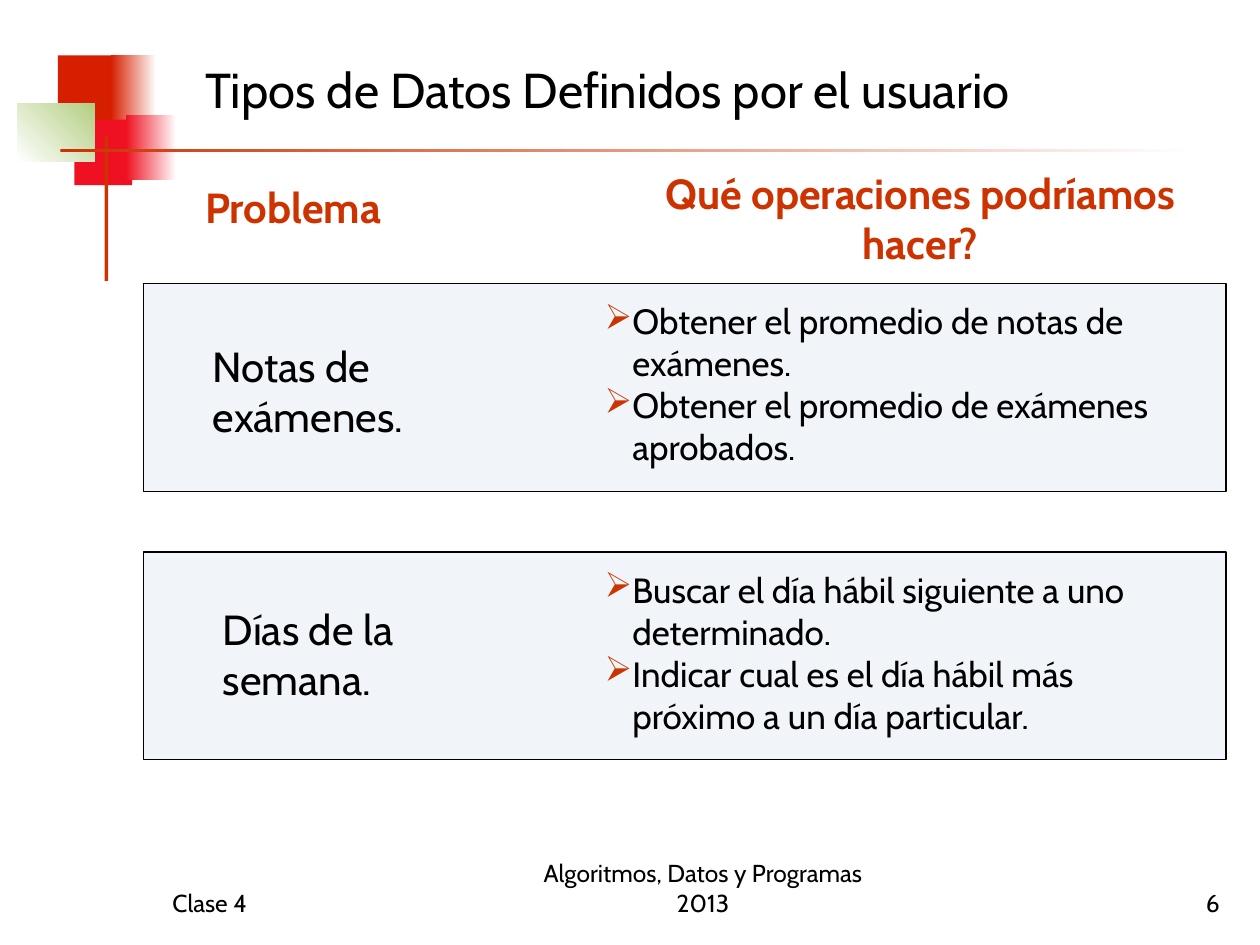
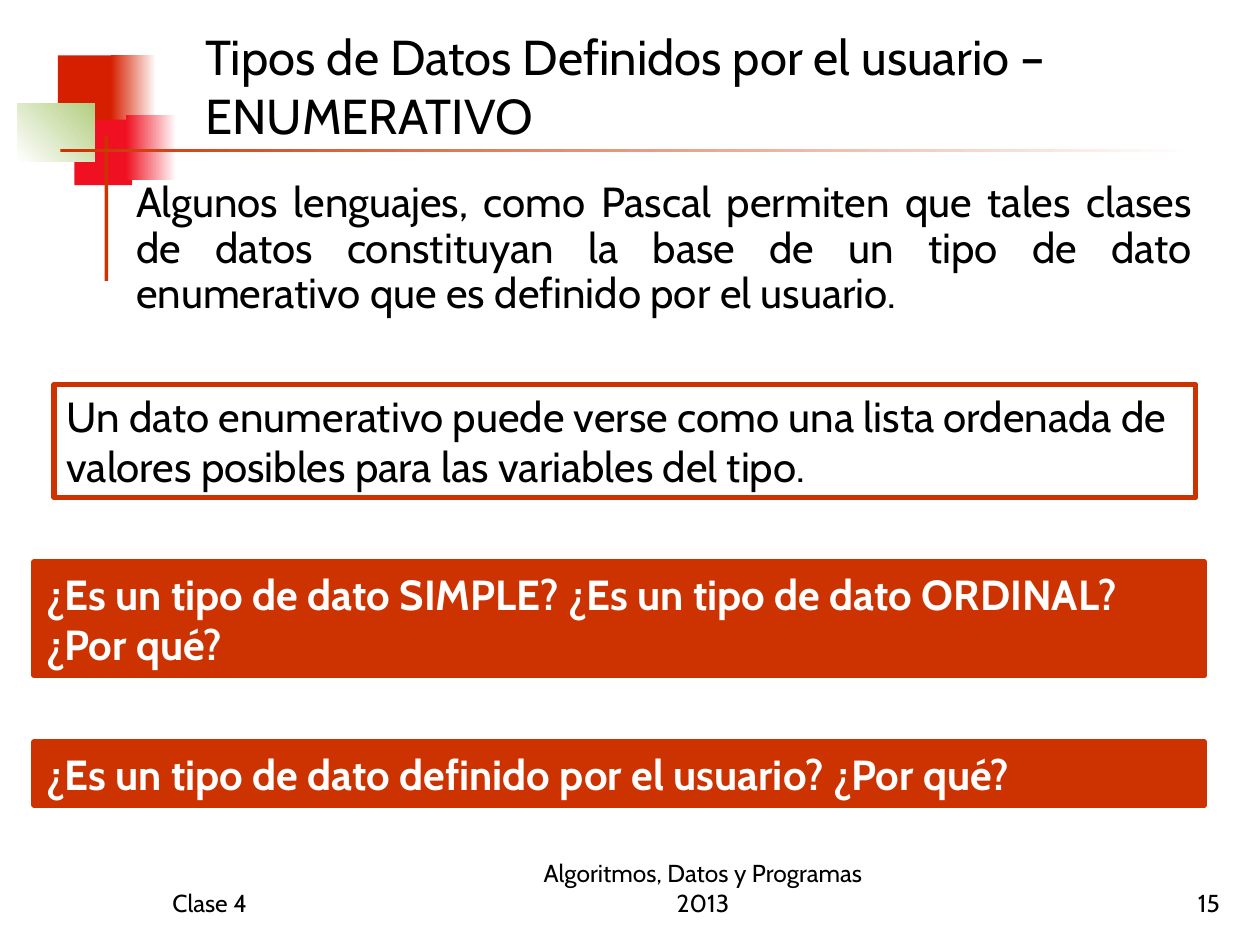
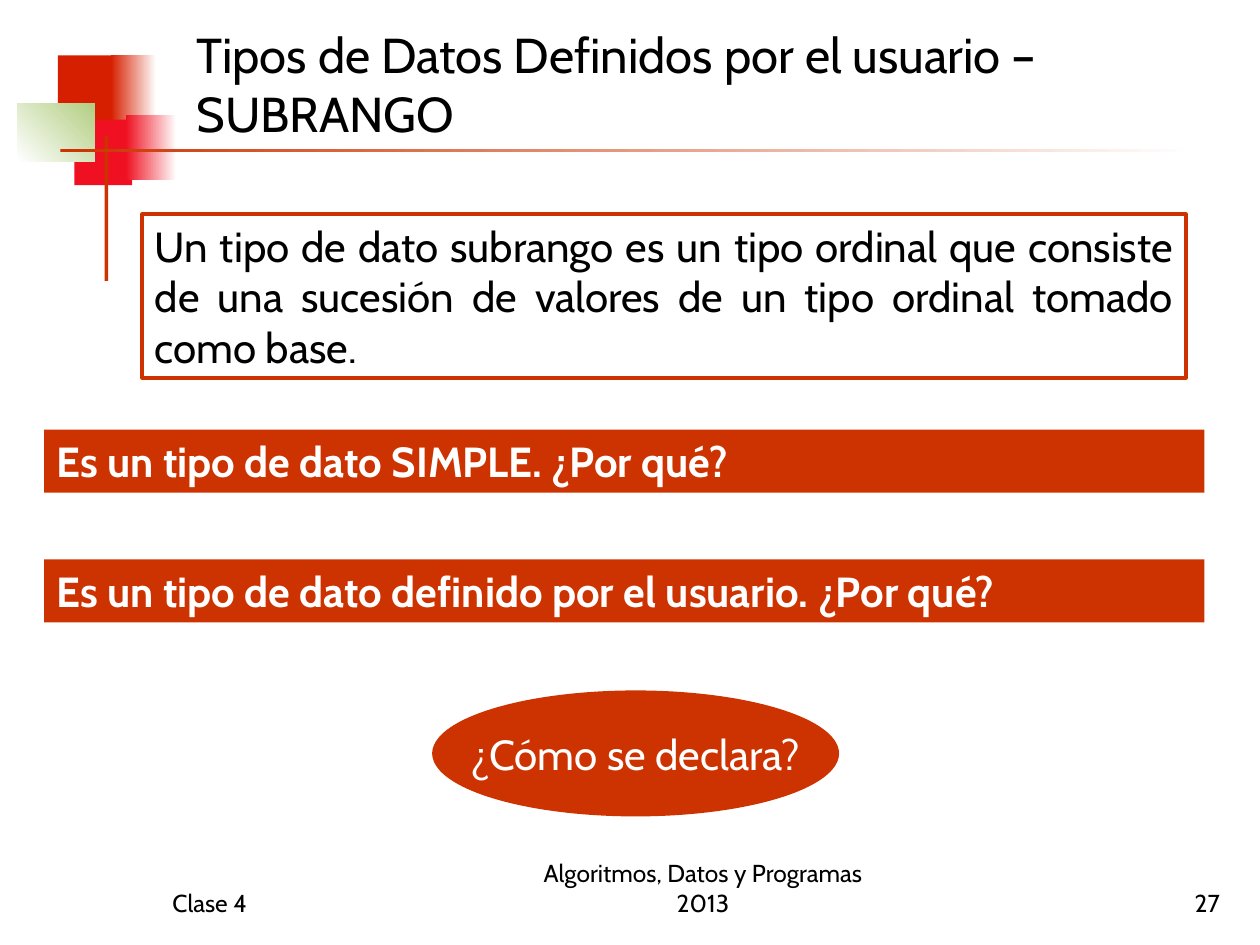
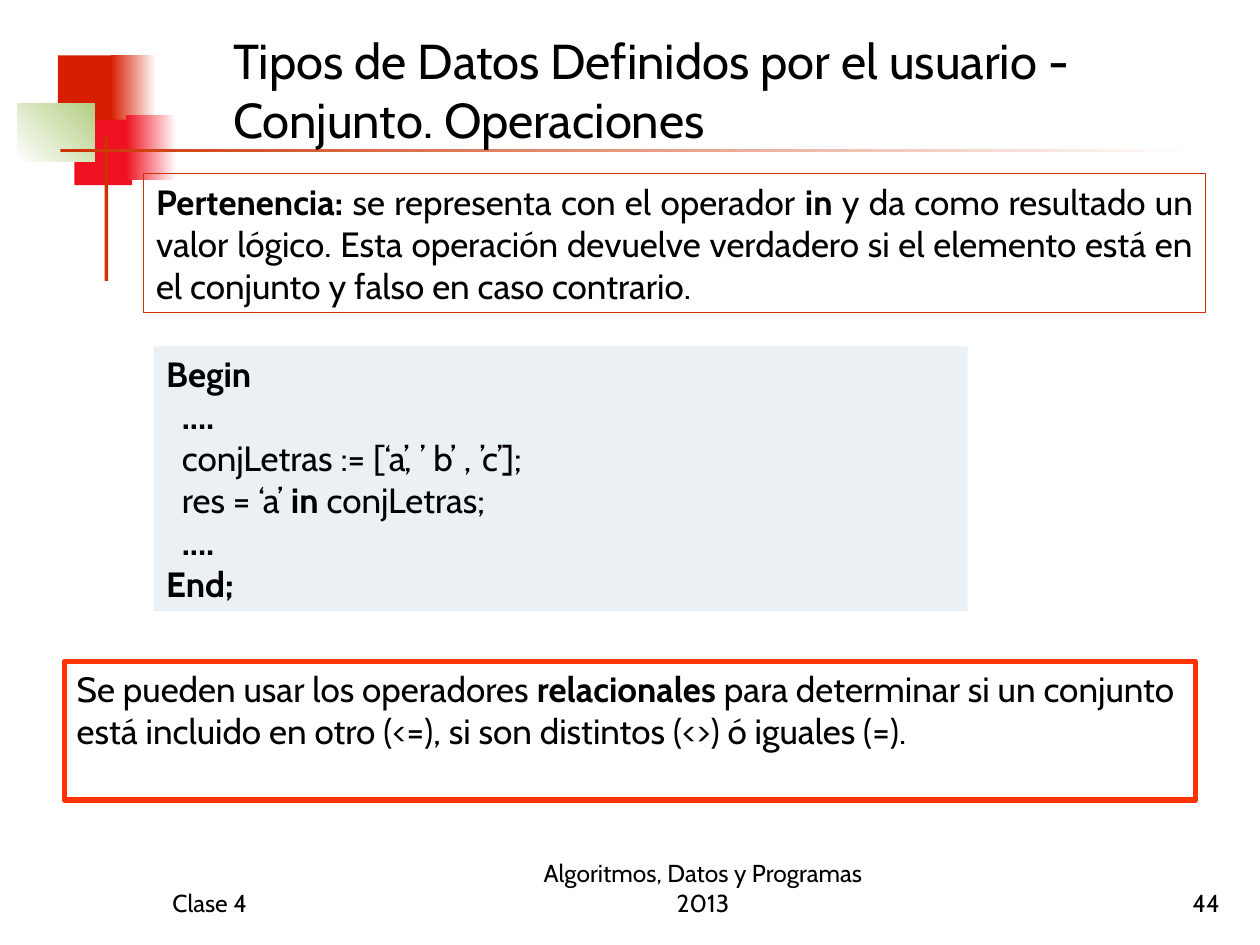
from lxml import etree
from pptx import Presentation
from pptx.dml.color import RGBColor
from pptx.enum.shapes import MSO_SHAPE
from pptx.enum.text import MSO_ANCHOR, MSO_AUTO_SIZE, PP_ALIGN
from pptx.oxml.ns import qn
from pptx.util import Inches, Pt

RECT, OVAL = MSO_SHAPE.RECTANGLE, MSO_SHAPE.OVAL
LEFT, MID, RIGHT, JUST = PP_ALIGN.LEFT, PP_ALIGN.CENTER, PP_ALIGN.RIGHT, PP_ALIGN.JUSTIFY
TOP, CENTER, BOTTOM = MSO_ANCHOR.TOP, MSO_ANCHOR.MIDDLE, MSO_ANCHOR.BOTTOM
NO_FIT = MSO_AUTO_SIZE.NONE

FONT = "Cabin"
BLACK, WHITE = "000000", "FFFFFF"
RUST, FLAME, RED, PINK, GREEN = "CC3300", "FF3300", "D61F00", "EF1121", "B3CE82"
PALE, GREY = "F1F5F9", "EBF0F5"
TITLE_ONLY, TITLE_BODY = 5, 1


def rgb(code):
    return RGBColor.from_string(code)


class Deck:
    def __init__(self):
        self.prs = Presentation()
        self.prs.slide_width, self.prs.slide_height = Inches(10), Inches(7.5)
        self.slide = None

    def start(self, number, title, at, anchor=CENTER, layout=TITLE_ONLY):
        """Add a slide with its title and footer."""
        first = self.slide is None
        self.slide = self.prs.slides.add_slide(self.prs.slide_layouts[layout])
        if first:
            self.brand()
        self.place(self.slide.shapes.title, at)
        self.label(self.slide.shapes.title, [title], 28, anchor=anchor)
        for text, x, wide, align in (("Clase 4", 1.27, 2.08, LEFT),
                                     ("Algoritmos, Datos y Programas 2013", 4, 3.16, MID),
                                     (str(number), 7.7, 2.08, RIGHT)):
            self.text([text], (x, 6.83, wide, 0.5), 14, align=align, anchor=BOTTOM)

    def brand(self):
        """Draw the corner blocks and rules, and move them to the master."""
        tree = self.prs.slide_master.shapes._spTree
        parts = (((0.46, 0.44, 0.48, 0.52), RED),
                 ((0.88, 0.44, 0.36, 0.52), (RED, WHITE, 0)),
                 ((0.59, 0.95, 0.46, 0.52), PINK),
                 ((1, 0.91, 0.4, 0.52), (PINK, WHITE, 0)),
                 ((0.14, 0.82, 0.61, 0.46), (WHITE, GREEN, 45)),
                 ((0.83, 1.08, 0.03, 1.15), RUST),
                 ((0.48, 1.18, 9, 0.03), (RUST, WHITE, 0)))
        for i, (at, fill) in enumerate(parts):
            node = self.shape(at, fill)._element
            node.nvSpPr.cNvPr.id = 100 + i
            tree.insert(2 + i, node)

    def place(self, shape, at):
        shape.left, shape.top, shape.width, shape.height = map(Inches, at)

    def shape(self, at, fill=None, line=None, width=0.75, kind=RECT):
        """Draw a preset shape; a fill of three parts is a gradient."""
        shape = self.slide.shapes.add_shape(kind, *map(Inches, at))
        shape.shadow.inherit = False
        if fill is None:
            shape.fill.background()
        elif isinstance(fill, tuple):
            shape.fill.gradient()
            shape.fill.gradient_angle = fill[2]
            for stop, code in zip(shape.fill.gradient_stops, fill):
                stop.color.rgb = rgb(code)
        else:
            shape.fill.solid()
            shape.fill.fore_color.rgb = rgb(fill)
        if line:
            shape.line.color.rgb = rgb(line)
            shape.line.width = Pt(width)
        else:
            shape.line.fill.background()
        return shape

    def label(self, shape, paras, size, color=BLACK, align=LEFT, anchor=TOP,
              wrap=True, indent=0, hang=0, mark=None, space=None):
        """Fill a shape; ** turns bold on and off, a newline breaks the line."""
        frame = shape.text_frame
        frame.auto_size, frame.word_wrap, frame.vertical_anchor = NO_FIT, wrap, anchor
        frame.margin_left = frame.margin_right = Inches(0.1)
        frame.margin_top = frame.margin_bottom = Inches(0.05)
        for i, text in enumerate(paras):
            para = frame.add_paragraph() if i else frame.paragraphs[0]
            self.bullet(para, indent, hang, mark)
            para.alignment, para.space_before = align, Pt(0)
            if space:
                para.line_spacing = space
            for j, part in enumerate(text.split("**")):
                for k, piece in enumerate(part.split("\n")):
                    if k:
                        para.add_line_break()
                    if piece:
                        run = para.add_run()
                        run.text = piece
                        font = run.font
                        font.name, font.size, font.bold = FONT, Pt(size), j % 2 == 1
                        font.color.rgb = rgb(color)

    def bullet(self, para, indent, hang, mark):
        props = para._p.get_or_add_pPr()
        props.set("marL", str(Inches(indent)))
        props.set("indent", str(-Inches(hang)))
        if mark:
            tint = etree.SubElement(props, qn("a:buClr"))
            etree.SubElement(tint, qn("a:srgbClr"), val=RUST)
            etree.SubElement(props, qn("a:buChar"), char=mark)
        else:
            etree.SubElement(props, qn("a:buNone"))

    def text(self, paras, at, size, **style):
        self.label(self.slide.shapes.add_textbox(*map(Inches, at)), paras, size, **style)

    def body(self, paras, at, size, **style):
        holder = self.slide.placeholders[1]
        self.place(holder, at)
        self.label(holder, paras, size, **style)

    def panel(self, paras, at, size, line, width, **style):
        self.label(self.shape(at, None, line, width), paras, size, **style)

    def bar(self, text, at, line=None):
        self.label(self.shape(at, RUST, line, 3), [f"**{text}**"], 24, color=WHITE)


def main():
    deck = Deck()
    topic = "Tipos de Datos Definidos por el usuario"

    # Problems and their operations
    deck.start(6, topic, (1.53, 0.16, 8, 0.83), anchor=BOTTOM)
    deck.text(["**Problema**"], (1.53, 1.39, 2.99, 0.5), 24, color=RUST)
    deck.text(["**Qué operaciones podríamos hacer?**"], (5, 1.28, 4.61, 0.9), 24,
              color=RUST, align=MID)
    rows = ((2.25, "Notas de exámenes.", (0.59, 2.65, 3.93, 0.9),
             ["Obtener el promedio de notas de exámenes.",
              "Obtener el promedio de exámenes aprobados."]),
            (4.38, "Días de la semana.", (0.67, 4.74, 3.39, 0.9),
             ["Buscar el día hábil siguiente a uno determinado.",
              "Indicar cual es el día hábil más próximo a un día particular."]))
    for top, name, at, tasks in rows:
        deck.shape((1.14, top, 8.59, 1.65), PALE, BLACK)
        deck.text([name], at, 24, indent=1)
        deck.text(tasks, (4.53, top + 0.08, 5.12, 1.44), 20,
                  indent=0.39, hang=0.22, mark="➢")

    # Enumerated type
    deck.start(15, topic + " –\nENUMERATIVO", (1.53, 0.05, 8.19, 1.25), layout=TITLE_BODY)
    deck.body(["Algunos lenguajes, como Pascal permiten que tales clases de datos "
               "constituyan la base de un tipo de dato enumerativo que es definido "
               "por el usuario."], (0.98, 1.39, 8.58, 1.43), 24, align=JUST, space=0.9)
    deck.panel(["Un dato enumerativo puede verse como una lista ordenada de valores "
                "posibles para las variables del tipo."],
               (0.43, 3.05, 9.06, 0.9), 24, RUST, 3)
    deck.bar("¿Es un tipo de dato SIMPLE? ¿Es un tipo de dato ORDINAL? ¿Por qué?",
             (0.27, 4.46, 9.29, 0.9), RUST)
    deck.bar("¿Es un tipo de dato definido por el usuario? ¿Por qué?",
             (0.27, 5.89, 9.29, 0.5), RUST)

    # Subrange type
    deck.start(27, topic + " –\nSUBRANGO", (1.46, 0.21, 8.17, 0.9))
    deck.panel(["Un tipo de dato subrango es un tipo ordinal que consiste de una "
                "sucesión de valores de un tipo ordinal tomado como base."],
               (1.13, 1.7, 8.28, 1.3), 24, RUST, 2.25, align=JUST)
    deck.bar("Es un tipo de dato SIMPLE. ¿Por qué?", (0.35, 3.41, 9.21, 0.5))
    deck.bar("Es un tipo de dato definido por el usuario. ¿Por qué?",
             (0.35, 4.44, 9.21, 0.5))
    oval = deck.shape((3.43, 5.48, 3.23, 1), RUST, kind=OVAL)
    deck.label(oval, ["¿Cómo se declara?"], 24, color=WHITE, align=MID,
               anchor=CENTER, wrap=False)

    # Set operations
    deck.start(44, topic + " - Conjunto. Operaciones", (1.75, 0.25, 8.17, 0.92))
    deck.panel(["Se pueden usar los operadores **relacionales** para determinar si un "
                "conjunto está incluido en otro (<=), si son distintos (<>) ó "
                "iguales (=)."], (0.51, 5.25, 8.98, 1.1), 20, FLAME, 3)
    deck.panel(["**Pertenencia: **se representa con el operador **in** y da como "
                "resultado un valor lógico. Esta operación devuelve verdadero si el "
                "elemento está en el conjunto y falso en caso contrario."],
               (1.14, 1.38, 8.43, 1.1), 20, RUST, 0.75, align=JUST)
    code = ["**Begin**",
            "**  ....**",
            "  conjLetras := [‘a’, ’ b’ , ’c’];",
            "  res = ‘a’ **in** conjLetras;",
            "**  ....**",
            "**End;**"]
    deck.label(deck.shape((1.22, 2.75, 6.46, 2.1), GREY), code, 20)

    deck.prs.save("out.pptx")


if __name__ == "__main__":
    main()
